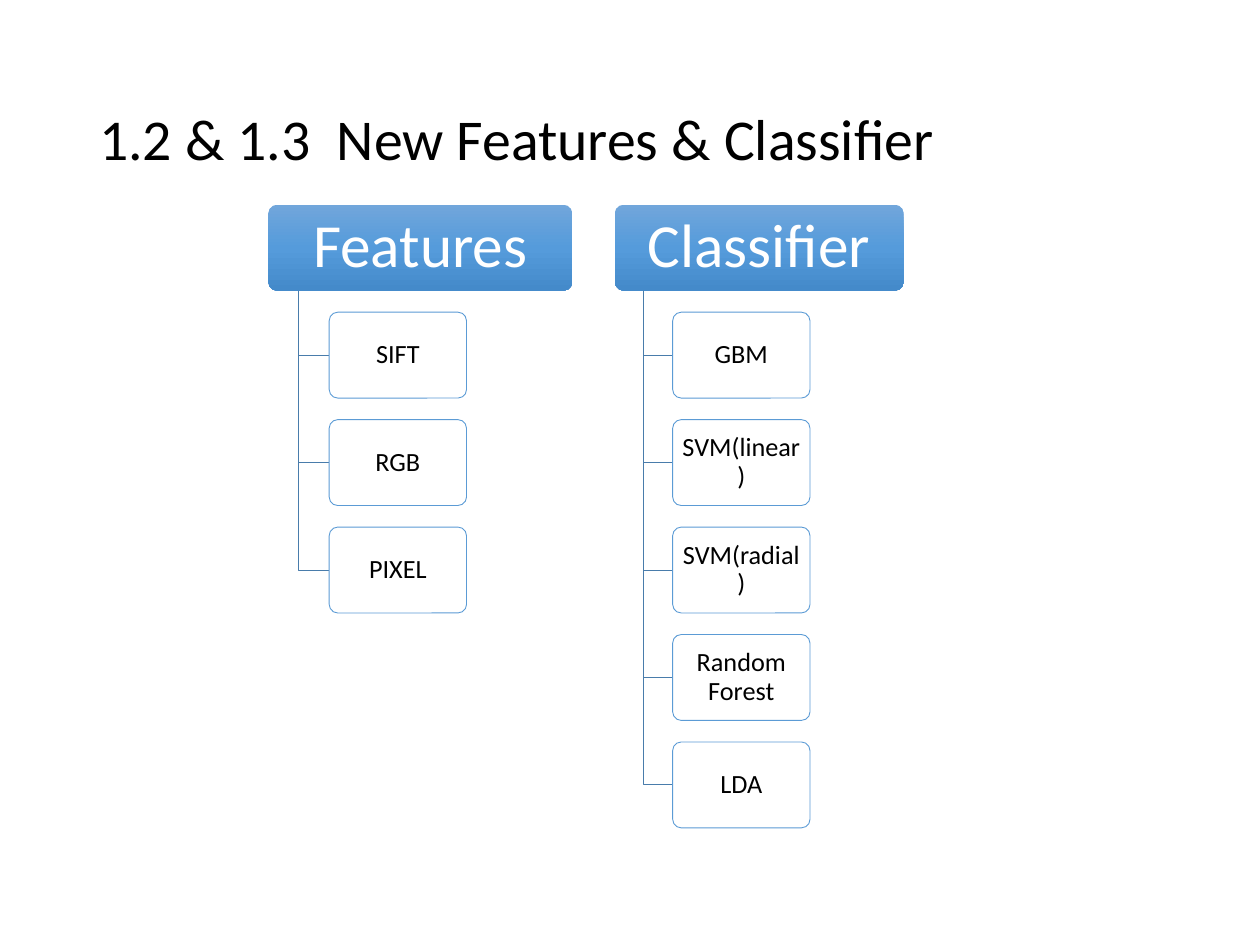
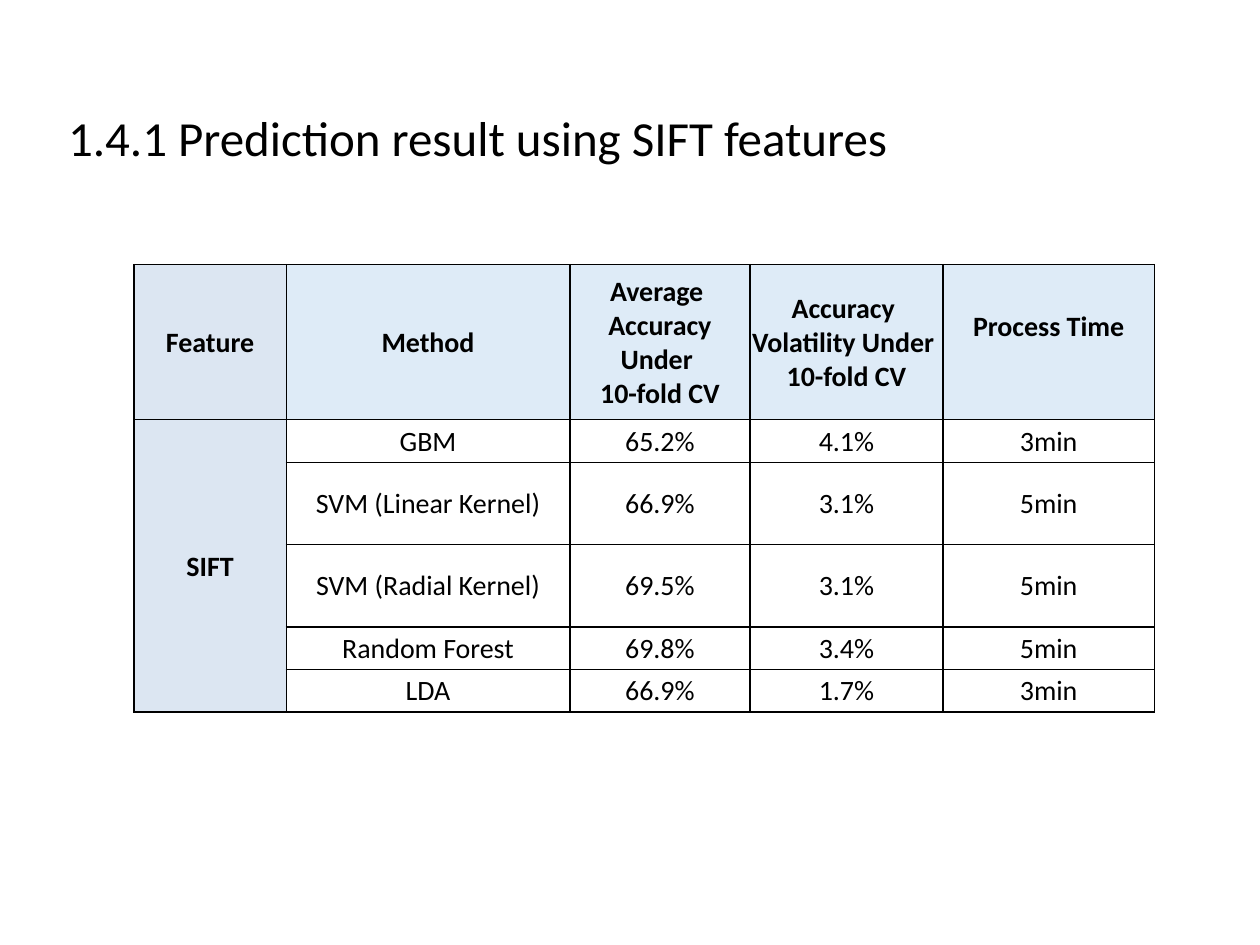
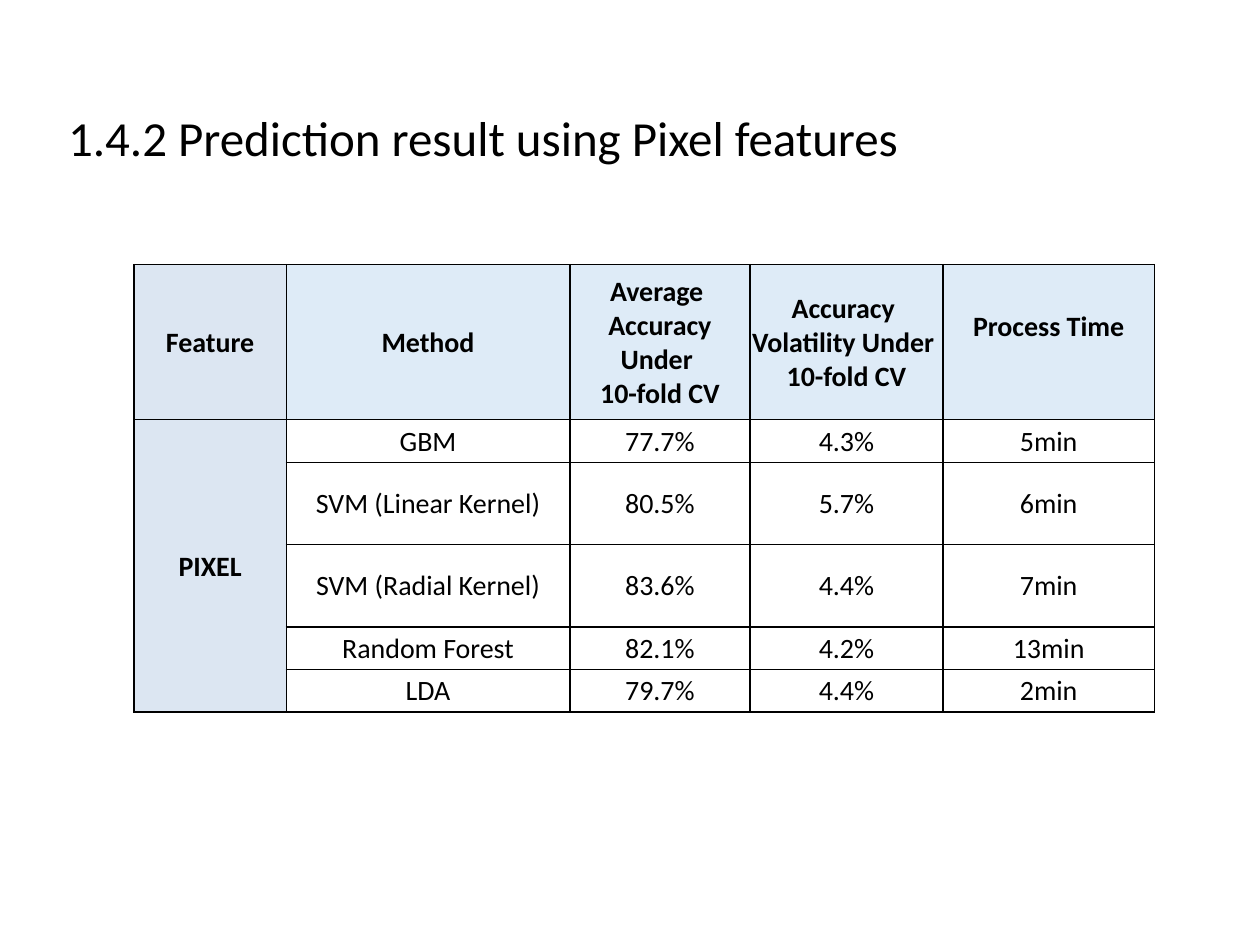
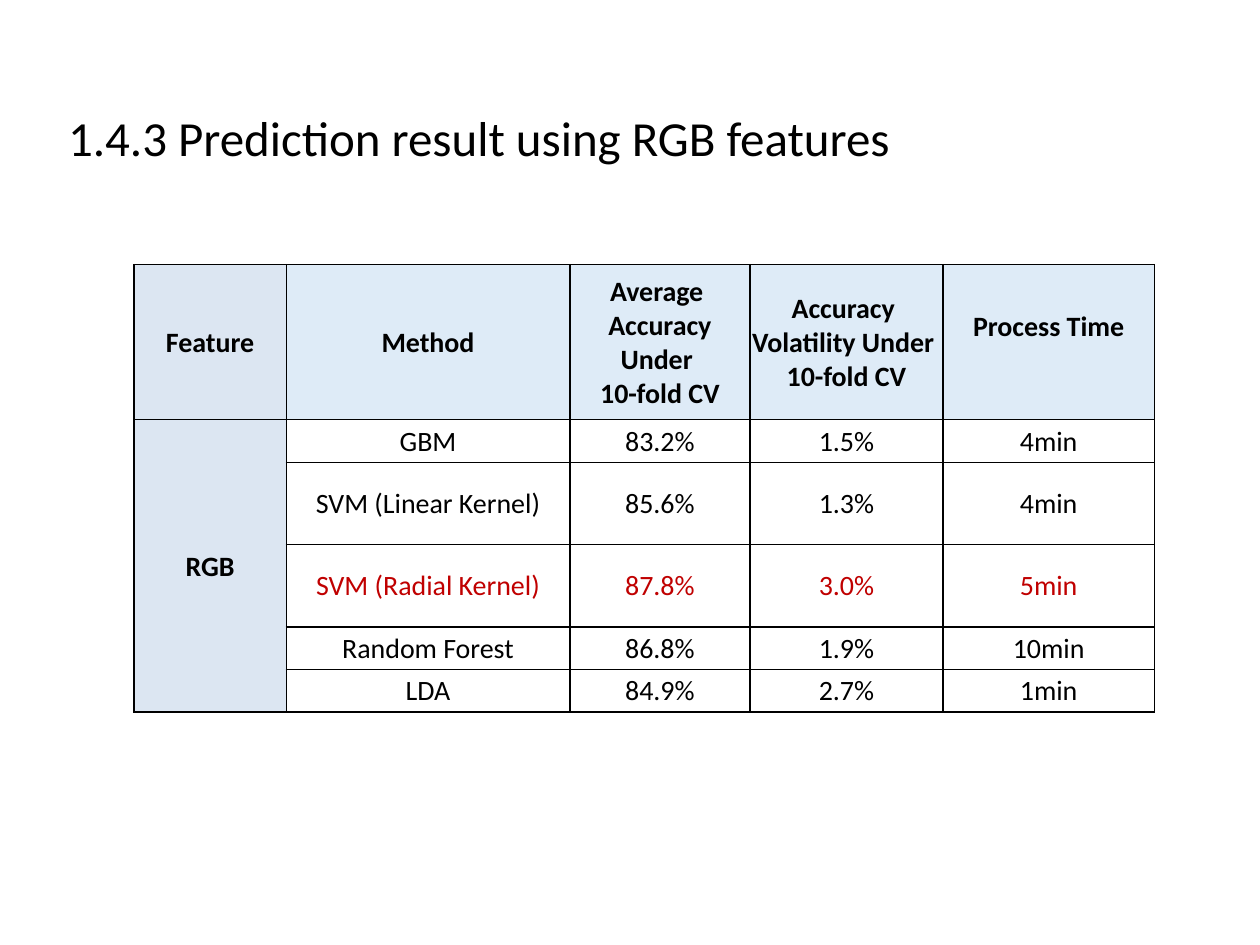
import copy

import lxml.etree
import pptx
import pptx.dml.color
import pptx.enum.shapes
import pptx.enum.text
import pptx.oxml.ns
import pptx.util

Pt = pptx.util.Pt
RGBColor = pptx.dml.color.RGBColor
qn = pptx.oxml.ns.qn
PP_ALIGN = pptx.enum.text.PP_ALIGN
MIDDLE = pptx.enum.text.MSO_ANCHOR.MIDDLE
ROUNDED = pptx.enum.shapes.MSO_SHAPE.ROUNDED_RECTANGLE

BLACK = RGBColor(0x00, 0x00, 0x00)
WHITE = RGBColor(0xFF, 0xFF, 0xFF)
RED = RGBColor(0xC0, 0x00, 0x00)
BOX_BLUE = RGBColor(0x5B, 0x9B, 0xD5)
LINE_BLUE = RGBColor(0x49, 0x7C, 0xAB)
FEATURE_FILL = RGBColor(0xDC, 0xE6, 0xF2)
HEADER_FILL = RGBColor(0xDE, 0xEB, 0xF7)
GRADIENT = [
    (0, RGBColor(0x71, 0xA6, 0xDB)),
    (0.5, RGBColor(0x55, 0x9B, 0xDB)),
    (1, RGBColor(0x44, 0x8A, 0xCA)),
]
FONT = "Calibri"


def write_text(text_frame, text, size, color=BLACK, bold=False, align=PP_ALIGN.CENTER, spacing=None):
    for index, line in enumerate(text.split("\n")):
        paragraph = text_frame.add_paragraph() if index else text_frame.paragraphs[0]
        paragraph.alignment = align
        if spacing:
            paragraph.line_spacing = spacing
        run = paragraph.add_run()
        run.text = line
        run.font.name = FONT
        run.font.size = Pt(size)
        run.font.bold = bold
        run.font.color.rgb = color


def add_titled_slide(text, left, top, width, height, size):
    slide = presentation.slides.add_slide(presentation.slide_layouts[5])
    title = slide.shapes.title
    title.left, title.top, title.width, title.height = Pt(left), Pt(top), Pt(width), Pt(height)
    title.text_frame.auto_size = pptx.enum.text.MSO_AUTO_SIZE.NONE
    title.text_frame.vertical_anchor = MIDDLE
    write_text(title.text_frame, text, size=size, align=PP_ALIGN.LEFT, spacing=0.9)
    return slide


presentation = pptx.Presentation()
presentation.slide_width = Pt(720)
presentation.slide_height = Pt(540)

slide = add_titled_slide("1.2 & 1.3  New Features & Classifier", 49.5, 28.75, 621, 104.4, size=33)

BRANCHES = [
    ("Features", 153.4, 173.5, ["SIFT", "RGB", "PIXEL"]),
    ("Classifier", 351.4, 164.9, ["GBM", "SVM(linear)", "SVM(radial)", "Random Forest", "LDA"]),
]
TREE_TOP = 117
BOX_WIDTH = 78.5
BOX_HEIGHT = 49.1
ROW_PITCH = 61.4

for heading, left, width, items in BRANCHES:
    trunk_x = left + width * 0.1
    item_left = left + width * 0.2
    for row, text in enumerate([heading] + items):
        is_heading = row == 0
        top = TREE_TOP + row * ROW_PITCH
        if not is_heading:
            elbow_y = top + BOX_HEIGHT / 2
            builder = slide.shapes.build_freeform(Pt(trunk_x), Pt(TREE_TOP + BOX_HEIGHT))
            builder.add_line_segments(
                [(Pt(trunk_x), Pt(elbow_y)), (Pt(item_left), Pt(elbow_y))], close=False
            )
            elbow = builder.convert_to_shape()
            elbow.shadow.inherit = False
            elbow.fill.background()
            elbow.line.color.rgb = LINE_BLUE
            elbow.line.width = Pt(0.5)

        box = slide.shapes.add_shape(
            ROUNDED,
            Pt(left if is_heading else item_left),
            Pt(top),
            Pt(width if is_heading else BOX_WIDTH),
            Pt(BOX_HEIGHT),
        )
        box.adjustments[0] = 0.1
        box.shadow.inherit = False
        if is_heading:
            box.fill.gradient()
            box.fill.gradient_angle = 270
            stop_list = box._element.spPr.find(".//" + qn("a:gsLst"))
            stop_list.append(copy.deepcopy(stop_list[0]))
            for stop, (position, color) in zip(box.fill.gradient_stops, GRADIENT):
                stop.position = position
                stop.color.rgb = color
            box.line.fill.background()
        else:
            box.fill.solid()
            box.fill.fore_color.rgb = WHITE
            fill_color = box._element.spPr.find(qn("a:solidFill"))[0]
            lxml.etree.SubElement(fill_color, qn("a:alpha"), val="90000")
            box.line.color.rgb = BOX_BLUE
            box.line.width = Pt(0.5)

        frame = box.text_frame
        frame.word_wrap = True
        frame.vertical_anchor = MIDDLE
        frame.margin_left = frame.margin_right = Pt(5.25 if is_heading else 2.25)
        frame.margin_top = frame.margin_bottom = Pt(3.5 if is_heading else 1.5)
        write_text(
            frame,
            text,
            size=35 if is_heading else 15,
            color=WHITE if is_heading else BLACK,
            spacing=0.9,
        )

HEADERS = [
    "Feature",
    "Method",
    "Average \nAccuracy Under \n10-fold CV",
    "Accuracy \nVolatility Under \n10-fold CV",
    "Process Time",
]
METHODS = ["GBM", "SVM (Linear Kernel)", "SVM (Radial Kernel)", "Random Forest", "LDA"]
COLUMN_WIDTHS = [87.1, 162, 103, 110.2, 121]
ROW_HEIGHTS = [88.6, 24.4, 47, 47, 24.4, 24.4]
RESULTS = [
    (
        "1.4.1 Prediction result using SIFT features",
        "SIFT",
        ["65.2%", "66.9%", "69.5%", "69.8%", "66.9%"],
        ["4.1%", "3.1%", "3.1%", "3.4%", "1.7%"],
        ["3min", "5min", "5min", "5min", "3min"],
        None,
    ),
    (
        "1.4.2 Prediction result using Pixel features",
        "PIXEL",
        ["77.7%", "80.5%", "83.6%", "82.1%", "79.7%"],
        ["4.3%", "5.7%", "4.4%", "4.2%", "4.4%"],
        ["5min", "6min", "7min", "13min", "2min"],
        None,
    ),
    (
        "1.4.3 Prediction result using RGB features",
        "RGB",
        ["83.2%", "85.6%", "87.8%", "86.8%", "84.9%"],
        ["1.5%", "1.3%", "3.0%", "1.9%", "2.7%"],
        ["4min", "4min", "5min", "10min", "1min"],
        "SVM (Radial Kernel)",
    ),
]

for title, feature, accuracies, volatilities, times, best_method in RESULTS:
    slide = add_titled_slide(title, 31.7, 43.2, 673.9, 74.2, size=28)
    features = [feature] + [""] * (len(METHODS) - 1)
    rows = [HEADERS] + list(zip(features, METHODS, accuracies, volatilities, times))
    table = slide.shapes.add_table(
        len(rows), len(HEADERS), Pt(76.5), Pt(151.2), Pt(sum(COLUMN_WIDTHS)), Pt(sum(ROW_HEIGHTS))
    ).table
    table.first_row = False
    table.horz_banding = False
    for column, width in zip(table.columns, COLUMN_WIDTHS):
        column.width = Pt(width)
    for row, height in zip(table.rows, ROW_HEIGHTS):
        row.height = Pt(height)
    table.cell(1, 0).merge(table.cell(len(METHODS), 0))

    for row_index, values in enumerate(rows):
        for column_index, text in enumerate(values):
            cell = table.cell(row_index, column_index)
            cell.vertical_anchor = MIDDLE
            cell.margin_left = cell.margin_right = cell.margin_top = Pt(0.75)
            cell.margin_bottom = Pt(18 if text == "Process Time" else 0)
            properties = cell._tc.get_or_add_tcPr()
            for side in ("lnL", "lnR", "lnT", "lnB"):
                border = lxml.etree.SubElement(properties, qn("a:" + side), w=str(Pt(1)))
                border_fill = lxml.etree.SubElement(border, qn("a:solidFill"))
                lxml.etree.SubElement(border_fill, qn("a:srgbClr"), val=str(BLACK))
            is_label = row_index == 0 or column_index == 0
            if is_label:
                cell.fill.solid()
                cell.fill.fore_color.rgb = HEADER_FILL if column_index else FEATURE_FILL
            else:
                cell.fill.background()
            if text:
                is_best = column_index > 0 and values[1] == best_method
                write_text(
                    cell.text_frame, text, size=16, color=RED if is_best else BLACK, bold=is_label
                )

presentation.save("out.pptx")
